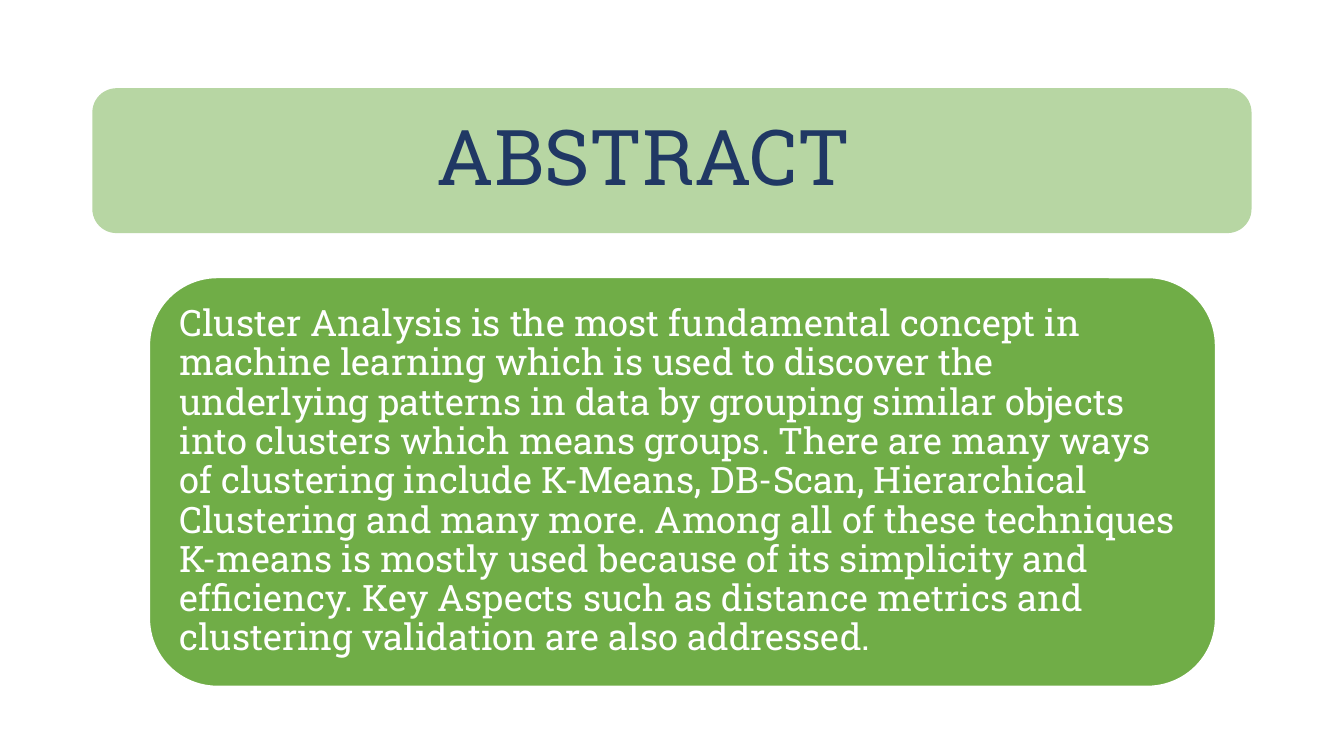
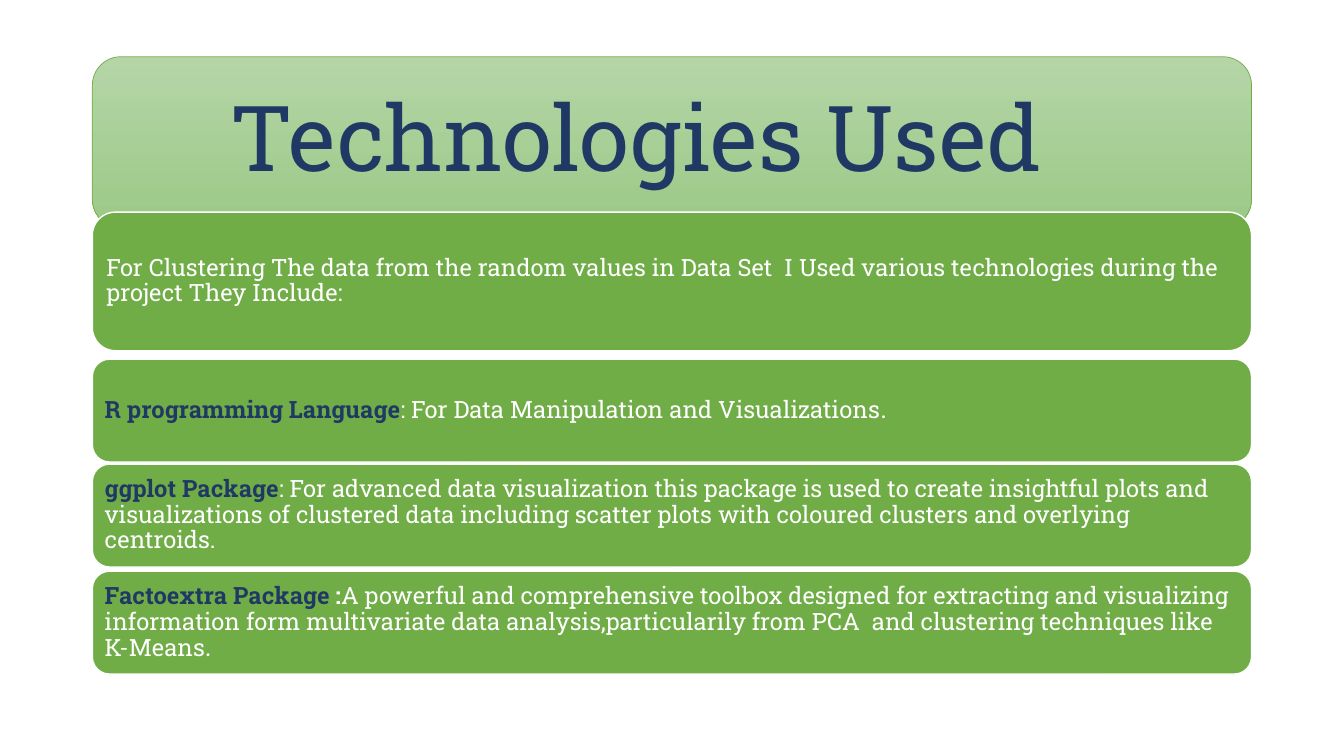
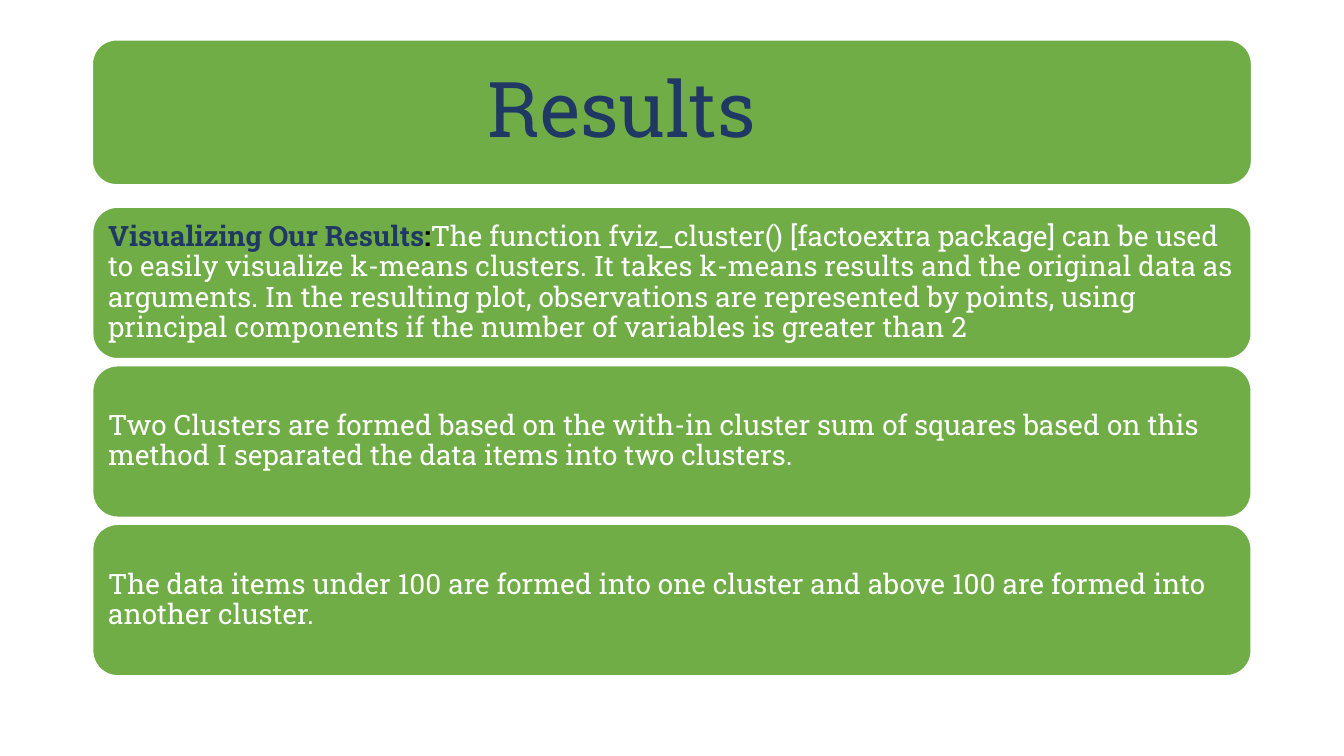
from dataclasses import dataclass
from typing import Optional

from pptx import Presentation
from pptx.dml.color import RGBColor
from pptx.enum.shapes import MSO_SHAPE as Preset
from pptx.enum.text import MSO_ANCHOR as Anchor, PP_ALIGN as Align
from pptx.util import Emu, Pt

EMU_PER_PX = 9525
SLIDE_WIDTH, SLIDE_HEIGHT = 1280, 720
BLANK_LAYOUT = 6
PANEL_LEFT, PANEL_WIDTH = 88, 1104


@dataclass(frozen=True)
class Theme:
    green: str = "70AD47"
    pale_green: str = "B7D6A3"
    gradient: tuple[str, str] = ("B5D5A7", "9CC987")
    navy: str = "203864"
    white: str = "FFFFFF"
    black: str = "000000"
    font: str = "Roboto Slab"
    plain_font: str = "Calibri"
    title_size: int = 55
    large_title_size: int = 65
    abstract_size: int = 26
    result_size: int = 20
    technology_size: int = 17
    inset_per_point: float = 0.4
    line_spacing: float = 0.9


THEME = Theme()


@dataclass(frozen=True)
class Span:
    text: str
    color: Optional[str] = None
    bold: bool = False
    font: Optional[str] = None


@dataclass(frozen=True)
class Panel:
    """A rounded box; two fill colours make a downward gradient."""
    top: int
    height: int
    spans: tuple[Span, ...]
    size: int
    left: int = PANEL_LEFT
    width: int = PANEL_WIDTH
    indent: int = 0
    text_color: str = THEME.white
    fill: tuple[str, ...] = (THEME.green,)
    line: Optional[str] = THEME.white
    line_width: float = 1


def px(length: int) -> Emu:
    return Emu(length * EMU_PER_PX)


def rgb(color: str) -> RGBColor:
    return RGBColor.from_string(color)


def title(text: str, top: int, indent: int, height: int = 138,
          size: int = THEME.title_size, fill: tuple[str, ...] = (THEME.green,),
          line: Optional[str] = THEME.white, line_width: float = 1) -> Panel:
    return Panel(top, height, (Span(text),), size, indent=indent,
                 text_color=THEME.navy, fill=fill, line=line, line_width=line_width)


def term(text: str) -> Span:
    return Span(text, THEME.navy, bold=True)


def style_panel(shape, panel: Panel) -> None:
    shape.shadow.inherit = False
    if len(panel.fill) == 1:
        shape.fill.solid()
        shape.fill.fore_color.rgb = rgb(panel.fill[0])
    else:
        shape.fill.gradient()
        shape.fill.gradient_angle = 270
        for stop, color in zip(shape.fill.gradient_stops, panel.fill):
            stop.color.rgb = rgb(color)
    if panel.line is None:
        shape.line.fill.background()
    else:
        shape.line.color.rgb = rgb(panel.line)
        shape.line.width = Pt(panel.line_width)


def write_panel(shape, panel: Panel) -> None:
    frame = shape.text_frame
    frame.word_wrap = True
    frame.vertical_anchor = Anchor.MIDDLE
    inset = round(panel.size * THEME.inset_per_point)
    frame.margin_top = frame.margin_right = frame.margin_bottom = px(inset)
    frame.margin_left = px(inset + panel.indent)

    paragraph = frame.paragraphs[0]
    paragraph.alignment = Align.LEFT
    paragraph.line_spacing = THEME.line_spacing
    paragraph.font.name = THEME.font
    paragraph.font.size = Pt(panel.size)
    paragraph.font.color.rgb = rgb(panel.text_color)
    for span in panel.spans:
        run = paragraph.add_run()
        run.text = span.text
        if span.color:
            run.font.color.rgb = rgb(span.color)
        if span.bold:
            run.font.bold = True
        if span.font:
            run.font.name = span.font


def add_panel(slide, panel: Panel) -> None:
    shape = slide.shapes.add_shape(
        Preset.ROUNDED_RECTANGLE,
        px(panel.left), px(panel.top), px(panel.width), px(panel.height))
    style_panel(shape, panel)
    write_panel(shape, panel)


FULL_STOP = Span(".", font=THEME.plain_font)

ABSTRACT = (
    title("ABSTRACT", top=84, indent=299, fill=(THEME.pale_green,), line=None),
    Panel(264, 390, (Span(
        "Cluster Analysis is the most fundamental concept in machine learning "
        "which is used to discover the underlying patterns in data by grouping "
        "similar objects into clusters which means groups. There are many ways of "
        "clustering include K-Means, DB-Scan, Hierarchical Clustering and many "
        "more. Among all of these techniques K-means is mostly used because of "
        "its simplicity and efficiency. Key Aspects such as distance metrics and "
        "clustering validation are also addressed."),),
        THEME.abstract_size, left=142, width=1016, line_width=1.5),
)

TECHNOLOGY_ROWS = (
    (202, 132, (Span(
        "For Clustering The data from the random values in Data Set  I Used "
        "various technologies during the project They Include:"),)),
    (342, 98, (term("R programming Language"),
               Span(": For Data Manipulation and Visualizations"), FULL_STOP)),
    (442, 98, (term("ggplot Package"), Span(
        ": For advanced data visualization this package is used to create "
        "insightful plots and visualizations of clustered data including scatter "
        "plots with coloured clusters and overlying centroids."))),
    (544, 98, (term("Factoextra Package "), Span(":", bold=True), Span(
        "A powerful and comprehensive toolbox designed for extracting and "
        "visualizing information form multivariate data analysis,particularily "
        "from PCA  and clustering techniques like K-Means"), FULL_STOP)),
)

TECHNOLOGIES = (
    title("Technologies Used", top=54, indent=98, height=163,
          size=THEME.large_title_size, fill=THEME.gradient,
          line=THEME.green, line_width=0.5),
    *(Panel(top, height, spans, THEME.technology_size)
      for top, height, spans in TECHNOLOGY_ROWS),
)

RESULT_TOP, RESULT_HEIGHT, RESULT_GAP = 197, 145, 6
RESULT_TEXTS = (
    (term("Visualizing Our Results"), Span(":", THEME.black, bold=True), Span(
        "The function fviz_cluster() [factoextra package] can be used to easily "
        "visualize k-means clusters. It takes k-means results and the original "
        "data as arguments. In the resulting plot, observations are represented "
        "by points, using principal components if the number of variables is "
        "greater than 2")),
    (Span("Two Clusters are formed based on the with-in cluster sum of squares "
          "based on this method I separated the data items into two clusters."),),
    (Span("The data items under 100 are formed into one cluster and above 100 "
          "are formed into another cluster."),),
)

RESULTS = (
    title("Results", top=38, indent=348),
    *(Panel(RESULT_TOP + row * (RESULT_HEIGHT + RESULT_GAP), RESULT_HEIGHT,
            spans, THEME.result_size, line_width=1.5)
      for row, spans in enumerate(RESULT_TEXTS)),
)


def main() -> None:
    presentation = Presentation()
    presentation.slide_width = px(SLIDE_WIDTH)
    presentation.slide_height = px(SLIDE_HEIGHT)
    for panels in (ABSTRACT, TECHNOLOGIES, RESULTS):
        slide = presentation.slides.add_slide(presentation.slide_layouts[BLANK_LAYOUT])
        for panel in panels:
            add_panel(slide, panel)
    presentation.save("out.pptx")


if __name__ == "__main__":
    main()
